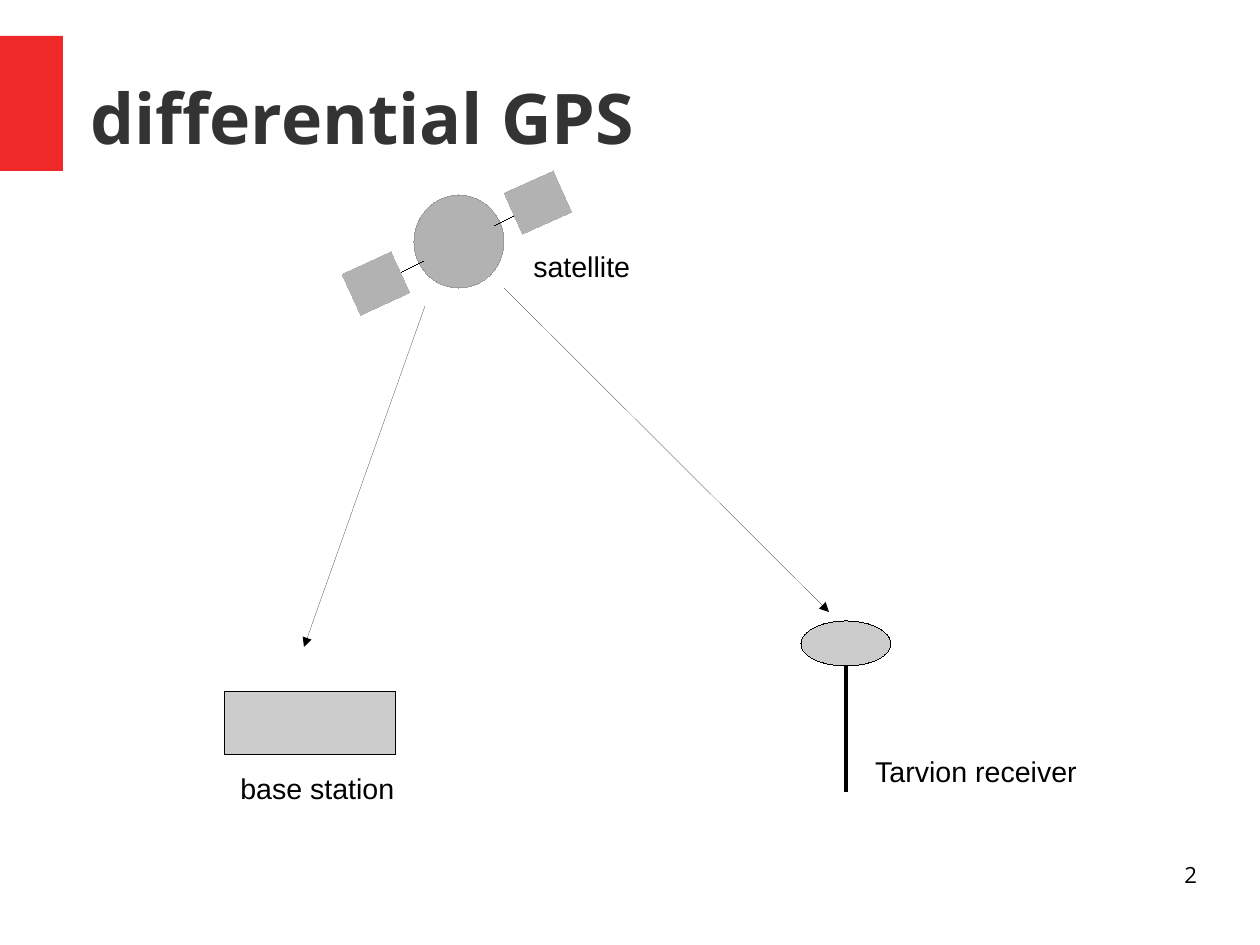
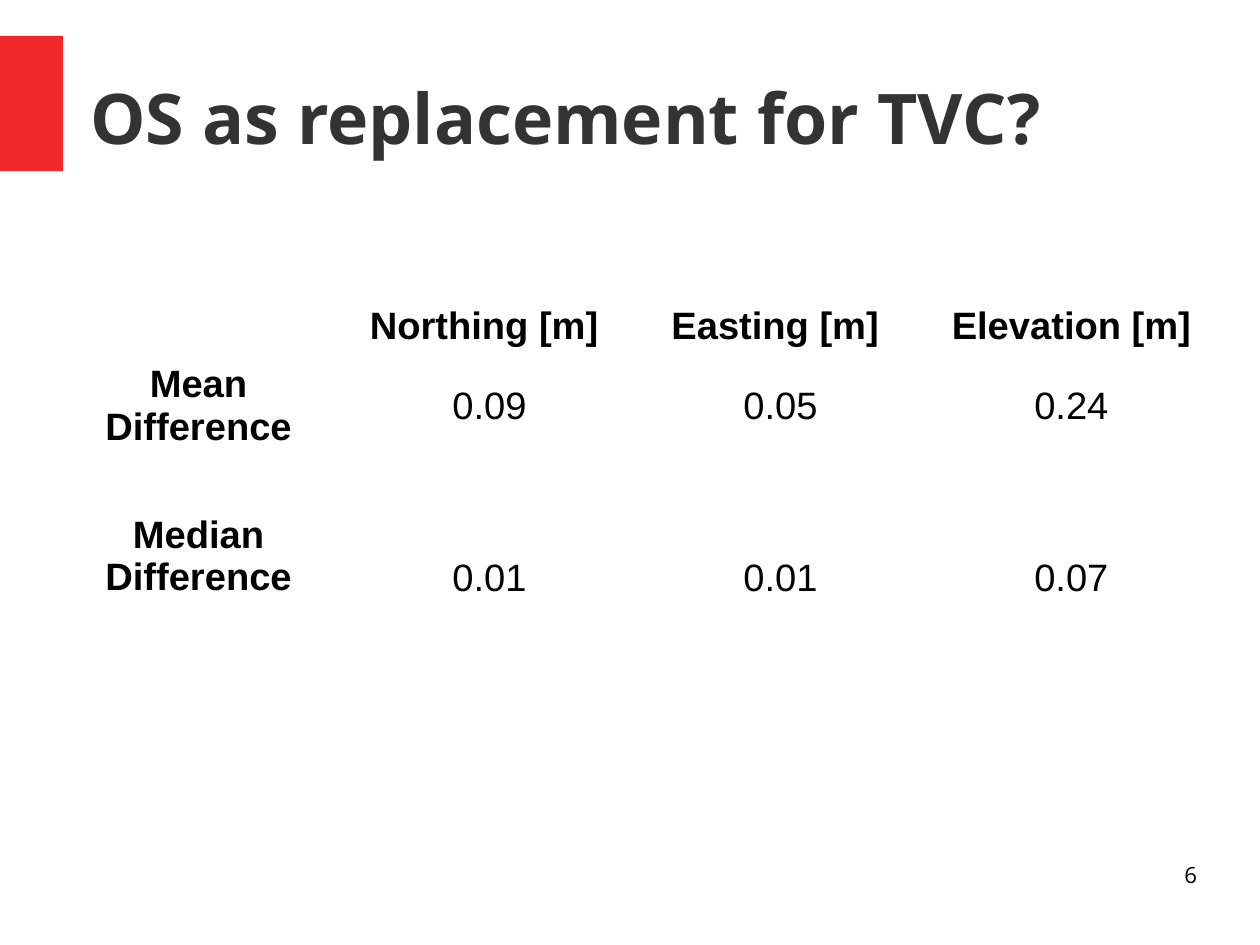
from lxml.etree import SubElement
from pptx import Presentation
from pptx.dml.color import RGBColor
from pptx.enum.shapes import MSO_CONNECTOR, MSO_SHAPE
from pptx.enum.text import MSO_ANCHOR, MSO_AUTO_SIZE, PP_ALIGN
from pptx.oxml.ns import qn
from pptx.util import Pt

PX = 8000  # EMU per px, 1260 px across the slide
BLACK, WHITE, RED, TITLE_GREY = "000000", "FFFFFF", "EF2929", "333333"
DEVICE_GREY, SATELLITE_GREY, OUTLINE_GREY = "CCCCCC", "B2B2B2", "999999"
TITLE_FONT, BODY_FONT = "Open Sans", "Arial"


def rgb(hex_text):
    return RGBColor.from_string(hex_text)


def write(paragraph, text, size, font, color=BLACK, bold=False, align=PP_ALIGN.LEFT):
    """Add one formatted run to the paragraph and align it."""
    paragraph.alignment = align
    run = paragraph.add_run()
    run.text = text
    run.font.size, run.font.name, run.font.bold = Pt(size), font, bold
    run.font.color.rgb = rgb(color)


prs = Presentation()
prs.slide_width, prs.slide_height = 1260 * PX, 945 * PX
title_only = prs.slide_layouts[5]

# Titles and page numbers
pages = []
for heading, number in [("differential GPS", "2"), ("OS as replacement for TVC?", "6")]:
    slide = prs.slides.add_slide(title_only)
    pages.append(slide)

    title = slide.shapes.title
    title.left, title.top, title.width, title.height = 90 * PX, 38 * PX, 1106 * PX, 158 * PX
    page_number = slide.shapes.add_textbox(903 * PX, 861 * PX, 294 * PX, 65 * PX)
    for box in (title, page_number):
        frame = box.text_frame
        frame.margin_left = frame.margin_right = frame.margin_top = frame.margin_bottom = 0
        frame.word_wrap = True
        frame.auto_size = MSO_AUTO_SIZE.NONE
    title.text_frame.vertical_anchor = MSO_ANCHOR.MIDDLE
    write(title.text_frame.paragraphs[0], heading, 44, TITLE_FONT, TITLE_GREY, bold=True)
    write(page_number.text_frame.paragraphs[0], number, 14, TITLE_FONT, align=PP_ALIGN.RIGHT)

gps, comparison = pages

# Red band, moved into the layout so that both slides share it
band = gps.shapes.add_shape(MSO_SHAPE.RECTANGLE, 0, 36 * PX, 63 * PX, 135 * PX)
band.shadow.inherit = False
band.fill.solid()
band.fill.fore_color.rgb = rgb(RED)
band.line.fill.background()
title_only.shapes.element.insert(2, band.element)

# Receiver, base station and satellite; the solar panels cover the ends of their arms
bodies = [
    (MSO_SHAPE.OVAL, 801, 621, 90, 45, 0, DEVICE_GREY, BLACK),
    (MSO_SHAPE.RECTANGLE, 225, 692, 171, 63, 0, DEVICE_GREY, BLACK),
    (MSO_SHAPE.OVAL, 414, 195, 90, 93, 0, SATELLITE_GREY, OUTLINE_GREY),
]
pole_and_arms = [
    (846, 666, 846, 792, 3, False),
    (495, 225, 531, 207, 0, False),
    (387, 279, 423, 261, 0, False),
]
panels = [
    (MSO_SHAPE.RECTANGLE, 349, 261, 54, 45, 335.3, SATELLITE_GREY, SATELLITE_GREY),
    (MSO_SHAPE.RECTANGLE, 511, 180, 54, 45, 335.9, SATELLITE_GREY, SATELLITE_GREY),
]
signals = [
    (425, 306, 304, 647, 0, True),
    (504, 288, 829, 612, 0, True),
]
for devices, links in [(bodies, pole_and_arms), (panels, signals)]:
    for outline, left, top, width, height, angle, fill, edge in devices:
        device = gps.shapes.add_shape(outline, left * PX, top * PX, width * PX, height * PX)
        device.shadow.inherit = False
        device.rotation = angle
        device.fill.solid()
        device.fill.fore_color.rgb = rgb(fill)
        device.line.color.rgb = rgb(edge)
        device.element.spPr.find(qn("a:ln")).set("w", "0")
    for x1, y1, x2, y2, weight, is_signal in links:
        link = gps.shapes.add_connector(
            MSO_CONNECTOR.STRAIGHT, x1 * PX, y1 * PX, x2 * PX, y2 * PX)
        link.line.color.rgb = rgb(BLACK)
        stroke = link.element.spPr.find(qn("a:ln"))
        stroke.set("w", str(Pt(weight)))  # the width property drops a zero
        if is_signal:
            SubElement(stroke, qn("a:tailEnd"), type="triangle")
        SubElement(link.element.spPr, qn("a:effectLst"))

for label, left, top, width in [
    ("base station", 229, 765, 177),
    ("Tarvion receiver", 864, 748, 226),
    ("satellite", 522, 243, 120),
]:
    caption = gps.shapes.add_textbox(left * PX, top * PX, width * PX, 43 * PX)
    caption.text_frame.word_wrap = False
    caption.text_frame.auto_size = MSO_AUTO_SIZE.SHAPE_TO_FIT_TEXT
    write(caption.text_frame.paragraphs[0], label, 18, BODY_FONT)

# Differences table
differences = [
    ["", "Northing [m] ", "Easting [m] ", "Elevation [m]"],
    ["Mean\nDifference", "0.09", "0.05", "0.24"],
    ["Median\nDifference", "0.01", "0.01", "0.07"],
]
row_heights = [58, 102, 242]
table = comparison.shapes.add_table(
    3, 4, 53 * PX, 297 * PX, 4 * 291 * PX, sum(row_heights) * PX).table
for r, (height, values) in enumerate(zip(row_heights, differences)):
    table.rows[r].height = height * PX
    for c, value in enumerate(values):
        cell = table.cell(r, c)
        cell.fill.solid()
        cell.fill.fore_color.rgb = rgb(WHITE)
        cell.vertical_anchor = MSO_ANCHOR.MIDDLE
        if not value:
            continue
        for i, line in enumerate(value.split("\n")):
            frame = cell.text_frame
            paragraph = frame.add_paragraph() if i else frame.paragraphs[0]
            write(paragraph, line, 24, BODY_FONT, bold=r == 0 or c == 0, align=PP_ALIGN.CENTER)
table.cell(2, 0).margin_bottom = 49 * PX  # lifts the label half a line

prs.save("out.pptx")
